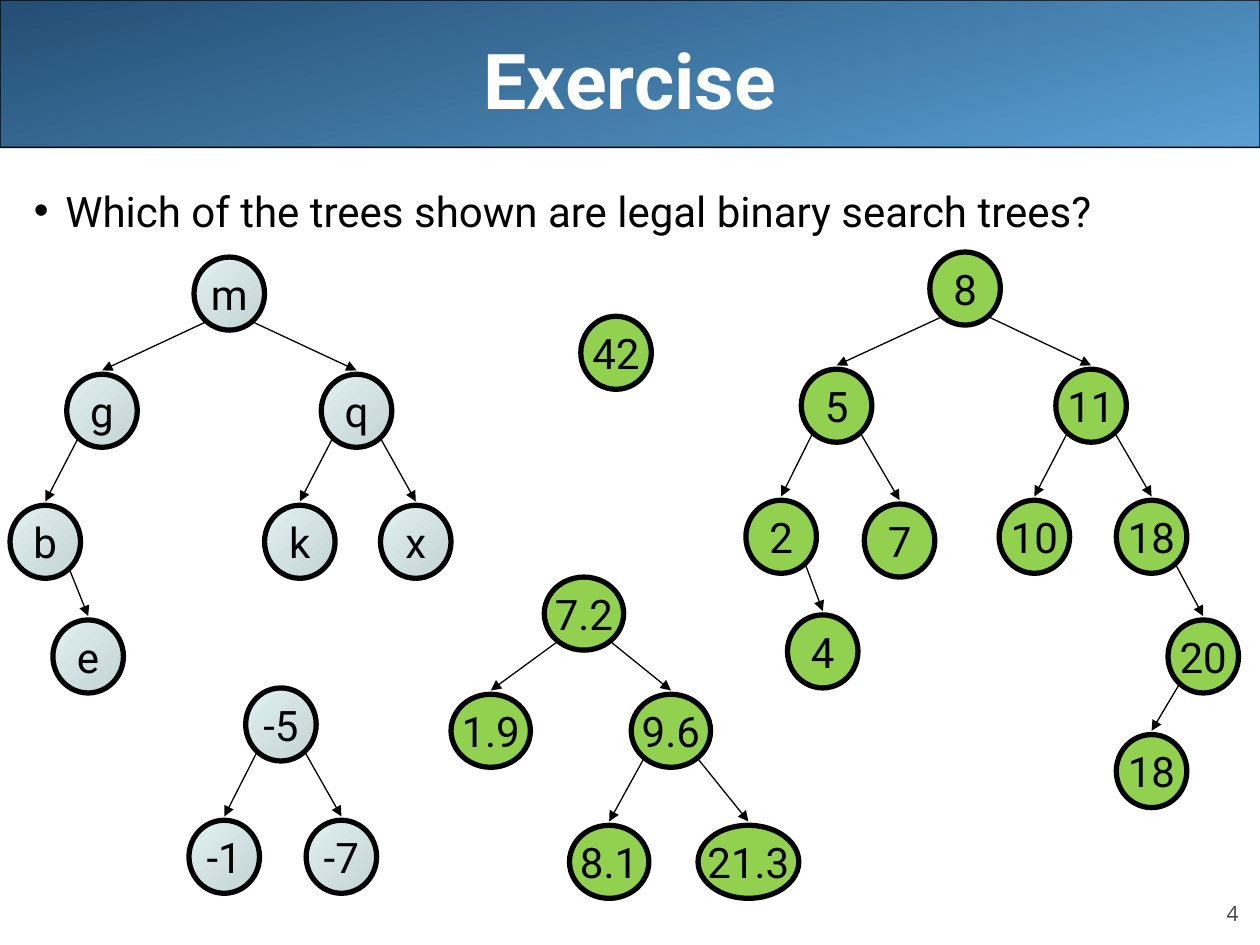
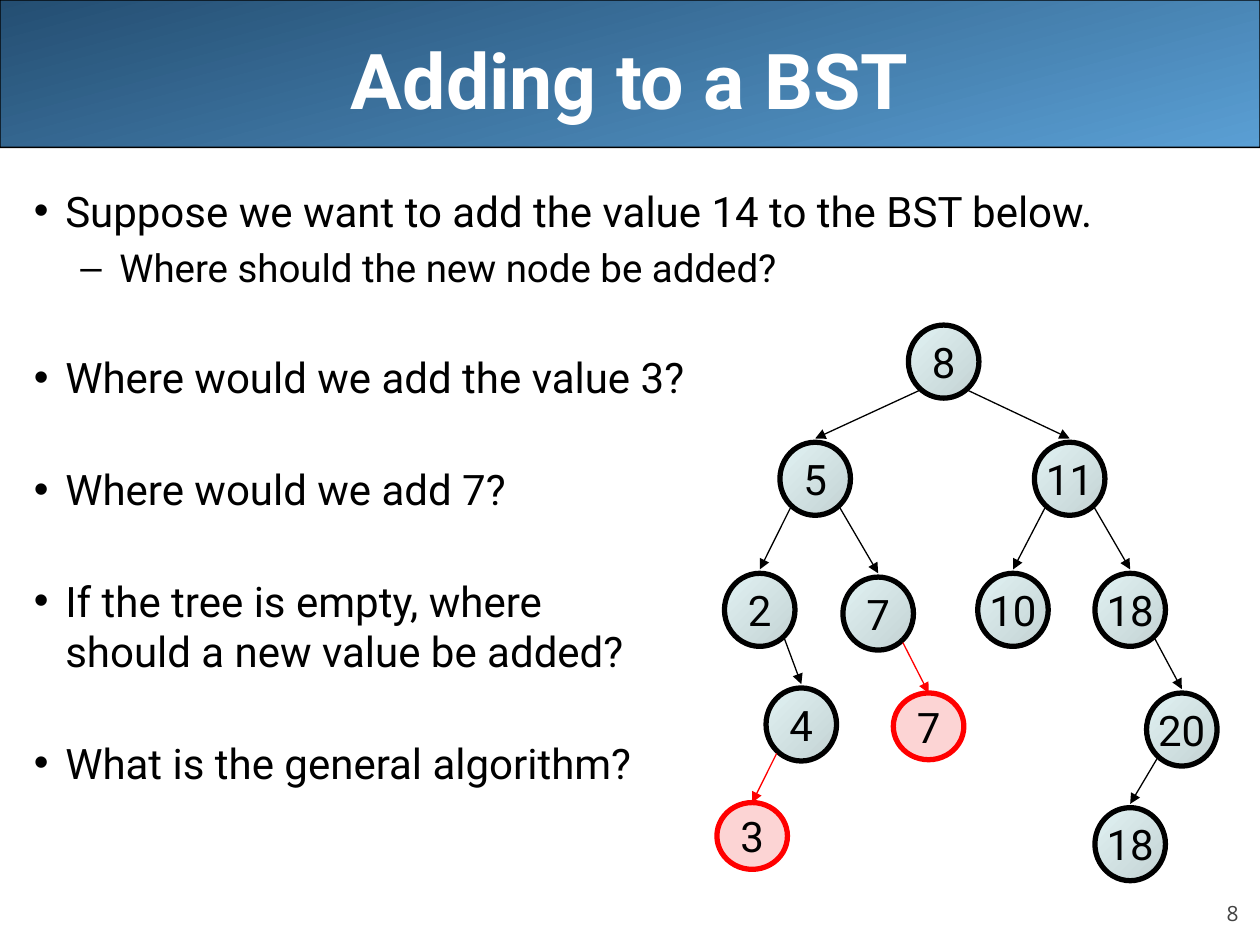
from collections import namedtuple

from lxml import etree
from pptx import Presentation
from pptx.dml import color
from pptx.enum import shapes, text
from pptx.oxml import ns
from pptx.util import Inches, Pt

Look = namedtuple("Look", "fill edge height gap")
BLACK, WHITE, GREY = "000000", "FFFFFF", "424242"
PALE = Look(("E1F2F3", "C3D2D3"), BLACK, 0.58, 0.03)
GREEN = Look(("92D050",), BLACK, 0.58, 0.03)
RED = Look(("FCD4D4",), "FF0000", 0.53, 0)
WIDTHS = {1: 0.56, 2: 0.56, 3: 0.63, 4: 0.8}

# Each node: label, left, top, index of its parent.
LETTERS = [("m", 1.46, 0, None), ("g", 0.45, 0.93, 0), ("q", 2.47, 0.93, 0),
           ("b", 0, 1.97, 1), ("k", 2.02, 1.97, 2), ("x", 2.94, 1.97, 2),
           ("e", 0.34, 2.88, 3)]
NUMBERS = [("8", 1.46, 0, None), ("5", 0.44, 0.93, 0), ("11", 2.46, 0.93, 0),
           ("2", 0, 1.97, 1), ("7", 0.94, 2, 1), ("10", 2.01, 1.97, 2),
           ("18", 2.94, 1.97, 2), ("4", 0.33, 2.88, 3), ("20", 3.35, 2.92, 6),
           ("18", 2.94, 3.83, 8)]
ADDED = [("7", 1.34, 2.92, 4), ("3", -0.06, 3.79, 7)]
SINGLE = [("42", 0, 0, None)]
MINUS = [("-5", 0.45, 0, None), ("-1", 0, 1.05, 0), ("-7", 0.93, 1.05, 0)]
REALS = [("7.2", 0.74, 0, None), ("1.9", 0, 0.93, 0), ("9.6", 1.43, 0.93, 0),
         ("8.1", 0.94, 1.97, 2), ("21.3", 1.96, 1.97, 2)]


def rgb(code):
    """Turn a hex string into a colour."""
    return color.RGBColor.from_string(code)


def add(parent, tag, **attrs):
    """Append a drawing element to an XML parent."""
    return etree.SubElement(parent, ns.qn("a:" + tag), attrs)


def paint(shape, fill, angle, edge, width):
    """Give a shape a solid or two-colour fill and an outline."""
    shape.shadow.inherit = False
    if len(fill) == 1:
        shape.fill.solid()
        shape.fill.fore_color.rgb = rgb(fill[0])
    else:
        shape.fill.gradient()
        shape.fill.gradient_angle = 360 - angle
        for stop, code in zip(shape.fill.gradient_stops, fill):
            stop.color.rgb = rgb(code)
    shape.line.color.rgb = rgb(edge)
    shape.line.width = Pt(width)


def style(para, size, code=BLACK, align=None, face="Roboto", bold=False):
    """Set the font and alignment of a paragraph."""
    para.alignment = align
    font = para.font
    font.name, font.size, font.bold = face, Pt(size), bold
    font.color.rgb = rgb(code)


def label(slide, box, words, anchor):
    """Add a wrapped text box and return its frame."""
    frame = slide.shapes.add_textbox(*map(Inches, box)).text_frame
    frame.word_wrap = True
    frame.vertical_anchor = anchor
    frame.text = words
    return frame


def base(deck, title, number):
    """Add a slide with its band, title and page number."""
    slide = deck.slides.add_slide(deck.slide_layouts[6])
    band = slide.shapes.add_shape(shapes.MSO_SHAPE.ROUNDED_RECTANGLE, 0, 0,
                                  Inches(10), Inches(1.17))
    band.adjustments[0] = 0.001
    paint(band, ("244E72", "5A9FD4"), 75, BLACK, 0.74)
    page = label(slide, (9, 6.95, 0.83, 0.4), number, text.MSO_ANCHOR.BOTTOM)
    page.margin_left = page.margin_right = 0
    page.margin_top = page.margin_bottom = 0
    style(page.paragraphs[0], 12, GREY, text.PP_ALIGN.RIGHT, "Open Sans")
    head = label(slide, (0.5, 0, 9, 1.25), title, text.MSO_ANCHOR.MIDDLE)
    style(head.paragraphs[0], 44, WHITE, text.PP_ALIGN.CENTER, bold=True)
    return slide


def body(slide, box, items):
    """Write bullets from (level, space before, words)."""
    frame = label(slide, box, "", text.MSO_ANCHOR.TOP)
    for place, (level, space, words) in enumerate(items):
        para = frame.add_paragraph() if place else frame.paragraphs[0]
        para.text = words
        mark, left, hang, size = (("•", 0.25, 0.25, 24),
                                  ("–", 0.68, 0.31, 22))[level]
        props = para._p.get_or_add_pPr()
        props.set("marL", str(Inches(left)))
        props.set("indent", str(-Inches(hang)))
        add(props, "buFont", typeface="Arial")
        add(props, "buChar", char=mark)
        para.level = level
        para.space_before = Pt(space)
        style(para, size)


def arrow(group, start, end, code):
    """Draw a thin arrow between two points."""
    line = group.shapes.add_connector(shapes.MSO_CONNECTOR.STRAIGHT,
                                      *map(Inches, start + end))
    line.line.color.rgb = rgb(code)
    line.line.width = Pt(0.75)
    add(line.line._get_or_add_ln(), "tailEnd", type="triangle")
    add(line._element.spPr, "effectLst")


def node(group, box, words, look):
    """Draw one labelled tree node."""
    oval = group.shapes.add_shape(shapes.MSO_SHAPE.OVAL, *map(Inches, box))
    paint(oval, look.fill, 45, look.edge, 3)
    frame = oval.text_frame
    frame.word_wrap = False
    frame.vertical_anchor = text.MSO_ANCHOR.MIDDLE
    frame.text = words
    style(frame.paragraphs[0], 24, align=text.PP_ALIGN.CENTER)


def tree(slide, left, top, nodes, look, extra=()):
    """Draw a tree from its corner, with extra nodes in red."""
    group = slide.shapes.add_group_shape()
    spots = []
    looks = [look] * len(nodes) + [RED] * len(extra)
    for (words, x, y, parent), kind in zip([*nodes, *extra], looks):
        wide = WIDTHS[len(words)]
        mid, high = left + x + wide / 2, top + y
        spots.append((mid, high, wide))
        node(group, (left + x, high, wide, kind.height), words, kind)
        if parent is not None:
            hub, peak, span = spots[parent]
            side = -1 if mid < hub else 1
            arrow(group, (hub + side * 0.35 * span, peak + 0.52),
                  (mid, high - kind.gap), kind.edge)


def main():
    """Build both slides and save them."""
    deck = Presentation()
    deck.slide_width, deck.slide_height = Inches(10), Inches(7.5)
    area = (0.17, 1.42, 9.83, 5.67)

    quiz = base(deck, "Exercise", "4")
    body(quiz, area, [
        (0, 5, "Which of the trees shown are legal binary search trees?")])
    tree(quiz, 0.08, 2.04, LETTERS, PALE)
    tree(quiz, 5.92, 2, NUMBERS, GREEN)
    tree(quiz, 4.61, 2.51, SINGLE, GREEN)
    tree(quiz, 1.5, 5.46, MINUS, PALE)
    tree(quiz, 3.58, 4.58, REALS, GREEN)

    grow = base(deck, "Adding to a BST", "8")
    body(grow, area, [
        (0, 5, "Suppose we want to add the value 14 to the BST below."),
        (1, 5, "Where should the new node be added?"),
        (0, 35, "Where would we add the value 3?"),
        (0, 35, "Where would we add 7?"),
        (0, 35, "If the tree is empty, where\nshould a new value be added?"),
        (0, 35, "What is the general algorithm?")])
    tree(grow, 5.75, 2.58, NUMBERS, PALE, ADDED)
    deck.save("out.pptx")


main()
